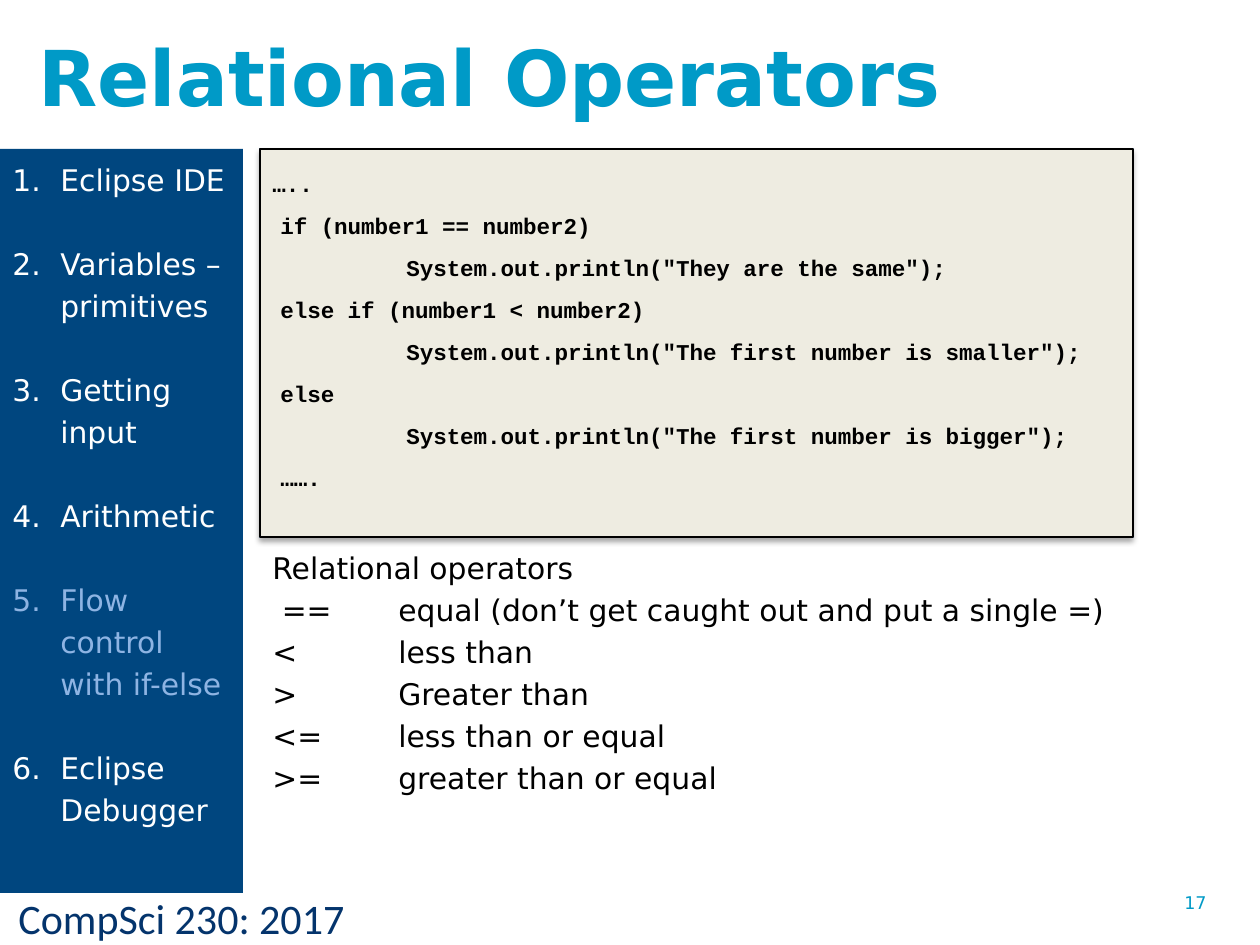
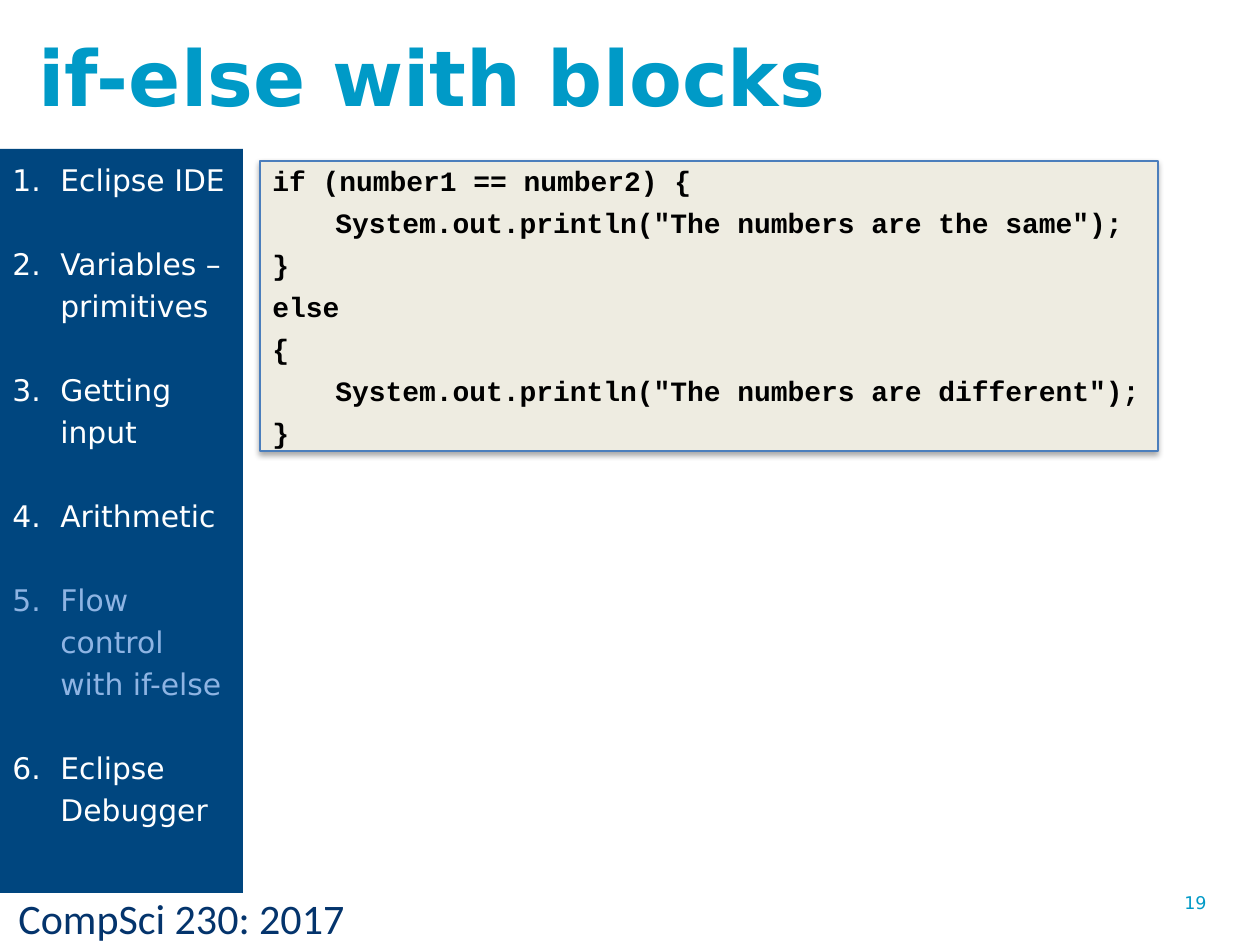
from pptx import Presentation
from pptx import util as u
from pptx.dml.color import RGBColor
from pptx.enum import shapes, text
from pptx.oxml import parse_xml
from pptx.oxml.ns import nsdecls

PX = 914400 // 126
HUE = {"title": "009AC7", "band": "00467F", "foot": "04346C", "panel": "EEECE1",
       "edge": "4B7EBC", "ink": "000000", "item": "FFFFFF", "now": "8EB4E3"}
SANS, MONO = "DejaVu Sans", "Courier New"
FOOT = "CompSci 230: 2017"
TOPICS = ["Eclipse IDE", "Variables –primitives", "Getting input", "Arithmetic",
          "Flow control with if-else", "Eclipse Debugger"]
CURRENT = 4
TABS = (63, 126)

SLIDES = [
    {"title": "Relational Operators", "page": "17",
     "panel": (260, 149, 873, 388),
     "bodies": [
         {"at": (260, 149, 873, 388), "font": (MONO, 12.9, True), "edge": "ink", "indent": 8,
          "lines": ["…..",
                    "if (number1 == number2)",
                    '\t\tSystem.out.println("They are the same");',
                    "else if (number1 < number2)",
                    '\t\tSystem.out.println("The first number is smaller");',
                    "else",
                    '\t\tSystem.out.println("The first number is bigger");',
                    "……."]},
         {"at": (260, 537, 873, 350), "font": (SANS, 17, False),
          "lines": ["Relational operators",
                    " ==\t\tequal (don’t get caught out and put a single =)",
                    "<\t\tless than",
                    ">\t\tGreater than",
                    "<=\t\tless than or equal",
                    ">=\t\tgreater than or equal"]}]},
    {"title": "if-else with blocks", "page": "19",
     "panel": (260, 161, 898, 290),
     "bodies": [
         {"at": (260, 149, 950, 312), "font": (MONO, 16, True),
          "lines": ["if (number1 == number2) {",
                    '\tSystem.out.println("The numbers are the same");',
                    "}",
                    "else",
                    "{",
                    '\tSystem.out.println("The numbers are different");',
                    "}"]}]},
]


def rgb(key):
    return RGBColor.from_string(HUE[key])


def scale(at):
    return [n * PX for n in at]


def block(slide, at, fill=None, edge=None):
    box = slide.shapes.add_shape(shapes.MSO_SHAPE.RECTANGLE, *scale(at))
    box.shadow.inherit = False
    if fill:
        box.fill.solid()
        box.fill.fore_color.rgb = rgb(fill)
    else:
        box.fill.background()
    if edge:
        box.line.color.rgb = rgb(edge)
        box.line.width = u.Pt(0.75)
    else:
        box.line.fill.background()
    return box


def write(box, lines, font, hues, top=6, indent=0, tabs=(), number=False, fixed=True):
    frame = box.text_frame
    frame.word_wrap = True
    frame.vertical_anchor = text.MSO_ANCHOR.TOP
    frame.margin_top = top * PX
    face, size, bold = font
    for i, line in enumerate(lines):
        para = frame.paragraphs[0] if i == 0 else frame.add_paragraph()
        para.alignment = text.PP_ALIGN.LEFT
        if fixed:
            para.line_spacing = u.Pt(24)
        props = para._p.get_or_add_pPr()
        if number:
            props.set("marL", str(48 * PX))
            props.set("indent", str(-48 * PX))
            if i:
                para.space_before = u.Pt(24)
            props.append(parse_xml(f'<a:buAutoNum {nsdecls("a")} type="arabicPeriod"/>'))
        elif indent and i:
            props.set("marL", str(indent * PX))
        if tabs:
            stops = "".join(f'<a:tab pos="{n * PX}" algn="l"/>' for n in tabs)
            props.append(parse_xml(f'<a:tabLst {nsdecls("a")}>{stops}</a:tabLst>'))
        run = para.add_run()
        run.text = line
        run.font.name, run.font.size, run.font.bold = face, u.Pt(size), bold
        run.font.color.rgb = rgb(hues[i] if isinstance(hues, list) else hues)


def label(slide, at, words, font, hue, top=6):
    write(slide.shapes.add_textbox(*scale(at)), [words], font, hue, top, fixed=False)


def panel(slide, at):
    box = block(slide, at, "panel", "edge")
    old = box.element.spPr.find("{*}effectLst")
    new = parse_xml(
        f'<a:effectLst {nsdecls("a")}><a:outerShdw blurRad="{u.Pt(3.1)}" dist="{u.Pt(1.8)}" '
        'dir="5400000" rotWithShape="0"><a:srgbClr val="000000"><a:alpha val="35000"/>'
        '</a:srgbClr></a:outerShdw></a:effectLst>')
    old.getparent().replace(old, new)


def build(deck, page):
    slide = deck.slides.add_slide(deck.slide_layouts[6])
    label(slide, (6, 887, 510, 63), FOOT, ("Calibri", 24, False), "foot")
    panel(slide, page["panel"])
    for body in page["bodies"]:
        if "edge" in body:
            box = block(slide, body["at"], edge=body["edge"])
        else:
            box = slide.shapes.add_textbox(*scale(body["at"]))
        write(box, body["lines"], body["font"], "ink", indent=body.get("indent", 0), tabs=TABS)
    label(slide, (26, 18, 1106, 98), page["title"], (SANS, 44, True), "title", top=12)
    label(slide, (1172, 886, 88, 65), page["page"], (SANS, 10, False), "title")
    hues = ["now" if i == CURRENT else "item" for i in range(len(TOPICS))]
    write(block(slide, (0, 149, 243, 744), "band"), TOPICS, (SANS, 17, False), hues, number=True)


def main():
    deck = Presentation()
    deck.slide_width, deck.slide_height = 1260 * PX, 945 * PX
    for page in SLIDES:
        build(deck, page)
    deck.save("out.pptx")


if __name__ == "__main__":
    main()
